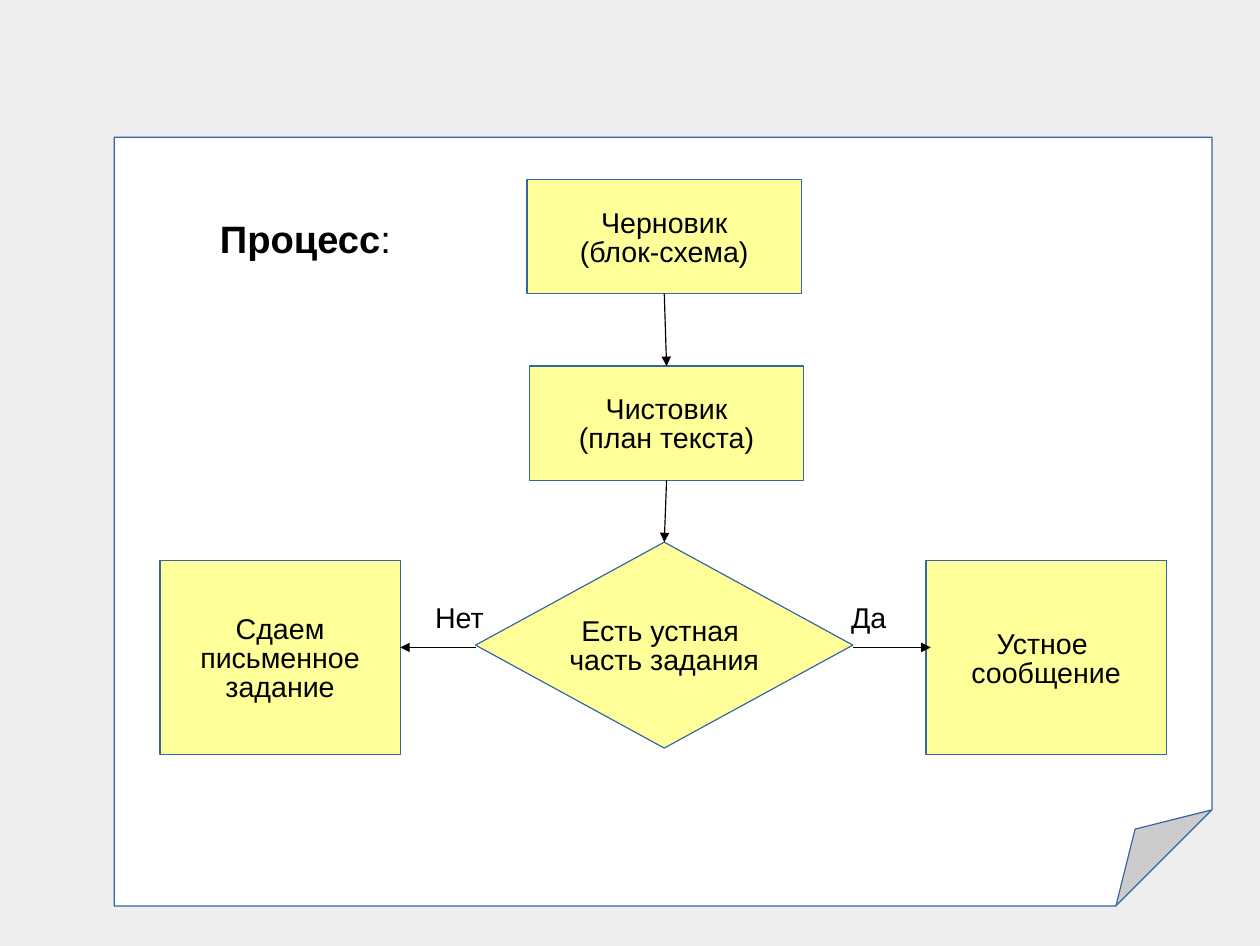
from lxml.etree import SubElement
from pptx import Presentation
from pptx.dml.color import RGBColor
from pptx.enum.shapes import MSO_CONNECTOR, MSO_SHAPE
from pptx.enum.text import MSO_ANCHOR, MSO_AUTO_SIZE, PP_ALIGN
from pptx.oxml.ns import qn
from pptx.util import Inches, Pt

BACKGROUND = RGBColor(0xEE, 0xEE, 0xEE)
PAPER = RGBColor(0xFF, 0xFF, 0xFF)
STEP = RGBColor(0xFF, 0xFF, 0x99)
OUTLINE = RGBColor(0x34, 0x65, 0xA4)
INK = RGBColor(0, 0, 0)

SLIDE_SIZE = (11.02, 8.27)
PAPER_BOX = (1, 1.2, 9.6, 6.72)
TITLE = ("Процесс", ":")
TITLE_BOX = (1.82, 1.86, 1.7, 0.43)
STEP_SIZE = (2.4, 1)
DECISION_SIZE = (3.3, 1.8)
OUTCOME_SIZE = (2.1, 1.7)
OUTCOME_TOP = 4.9
STEPS = {
    "draft": ("Черновик\n(блок-схема)", MSO_SHAPE.RECTANGLE, (4.61, 1.57, *STEP_SIZE)),
    "clean": ("Чистовик\n(план текста)", MSO_SHAPE.RECTANGLE, (4.63, 3.2, *STEP_SIZE)),
    "decision": ("Есть устная \nчасть задания", MSO_SHAPE.DIAMOND, (4.16, 4.74, *DECISION_SIZE)),
    "oral": ("Устное \nсообщение", MSO_SHAPE.RECTANGLE, (8.1, OUTCOME_TOP, *OUTCOME_SIZE)),
    "written": ("Сдаем\nписьменное\nзадание", MSO_SHAPE.RECTANGLE, (1.4, OUTCOME_TOP, *OUTCOME_SIZE)),
}
FLOW = [("draft", "clean"), ("clean", "decision")]
BRANCH_LEVEL = 5.66
BRANCHES = [
    ("Да", (7.34, 5.2, 0.51, 0.35), 7.46, 8.14),
    ("Нет", (3.7, 5.2, 0.63, 0.35), 4.16, 3.5),
]


def inches(box):
    return [Inches(length) for length in box]


def format_text(text_frame, alignment, anchor, size):
    text_frame.word_wrap = False
    text_frame.auto_size = MSO_AUTO_SIZE.NONE
    text_frame.vertical_anchor = anchor
    text_frame.margin_left = text_frame.margin_right = Inches(0.1)
    text_frame.margin_top = Inches(0.09)
    text_frame.margin_bottom = Inches(0.05)
    for paragraph in text_frame.paragraphs:
        paragraph.alignment = alignment
        paragraph.line_spacing = 0.84
        for run in paragraph.runs:
            run.font.name = "Arial"
            run.font.size = Pt(size)
            run.font.color.rgb = INK


def add_block(slide, kind, box, fill):
    shape = slide.shapes.add_shape(kind, *inches(box))
    shape.shadow.inherit = False
    shape.fill.solid()
    shape.fill.fore_color.rgb = fill
    shape.line.color.rgb = OUTLINE
    shape.line.width = Pt(0.75)
    return shape


def add_arrow(slide, start, end):
    arrow = slide.shapes.add_connector(MSO_CONNECTOR.STRAIGHT, *inches(start + end))
    arrow.line.color.rgb = INK
    arrow.line.width = Pt(0.75)
    properties = arrow.element.spPr
    SubElement(properties.find(qn("a:ln")), qn("a:tailEnd"), type="triangle")
    SubElement(properties, qn("a:effectLst"))
    return arrow


def main():
    presentation = Presentation()
    presentation.slide_width, presentation.slide_height = inches(SLIDE_SIZE)
    slide = presentation.slides.add_slide(presentation.slide_layouts[5])
    slide.background.fill.solid()
    slide.background.fill.fore_color.rgb = BACKGROUND

    paper = add_block(slide, MSO_SHAPE.FOLDED_CORNER, PAPER_BOX, PAPER)
    geometry = paper.element.spPr.find(qn("a:prstGeom"))
    SubElement(geometry.find(qn("a:avLst")), qn("a:gd"), name="adj", fmla="val 12500")

    blocks = {}
    for name, (text, kind, box) in STEPS.items():
        block = add_block(slide, kind, box, STEP)
        block.text_frame.text = text
        format_text(block.text_frame, PP_ALIGN.CENTER, MSO_ANCHOR.MIDDLE, 18)
        blocks[name] = block

    for source, target in FLOW:
        arrow = add_arrow(slide, (0, 0), (1, 1))
        arrow.begin_connect(blocks[source], 2)
        arrow.end_connect(blocks[target], 0)

    for text, box, start, end in BRANCHES:
        add_arrow(slide, (start, BRANCH_LEVEL), (end, BRANCH_LEVEL))
        label = slide.shapes.add_textbox(*inches(box))
        label.text_frame.text = text
        format_text(label.text_frame, PP_ALIGN.RIGHT, MSO_ANCHOR.TOP, 18)

    title = slide.shapes.title
    title.left, title.top, title.width, title.height = inches(TITLE_BOX)
    paragraph = title.text_frame.paragraphs[0]
    for text, bold in zip(TITLE, (True, False)):
        run = paragraph.add_run()
        run.text = text
        run.font.bold = bold
    format_text(title.text_frame, PP_ALIGN.RIGHT, MSO_ANCHOR.TOP, 24)
    title.element.getparent().append(title.element)

    presentation.save("out.pptx")


if __name__ == "__main__":
    main()
